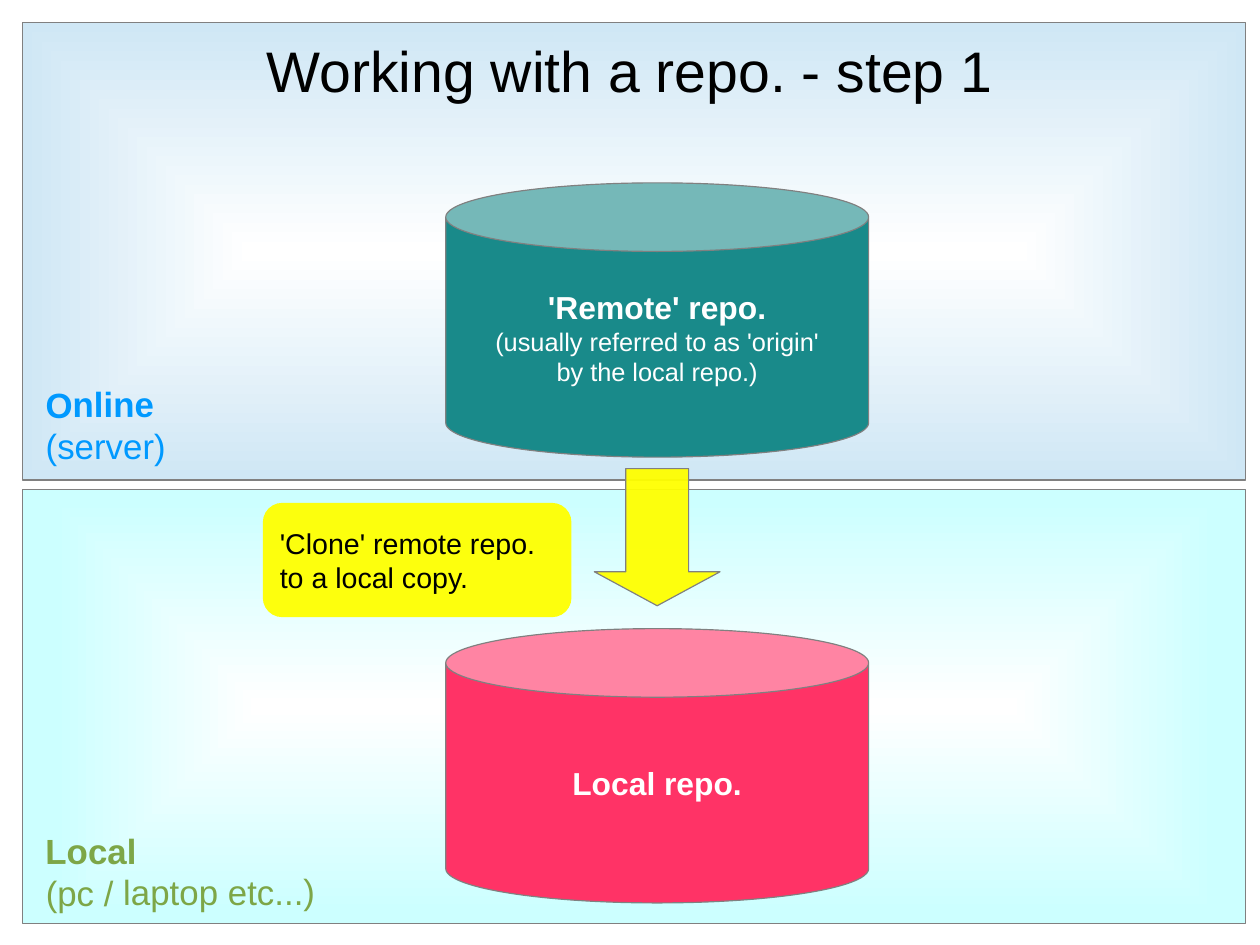
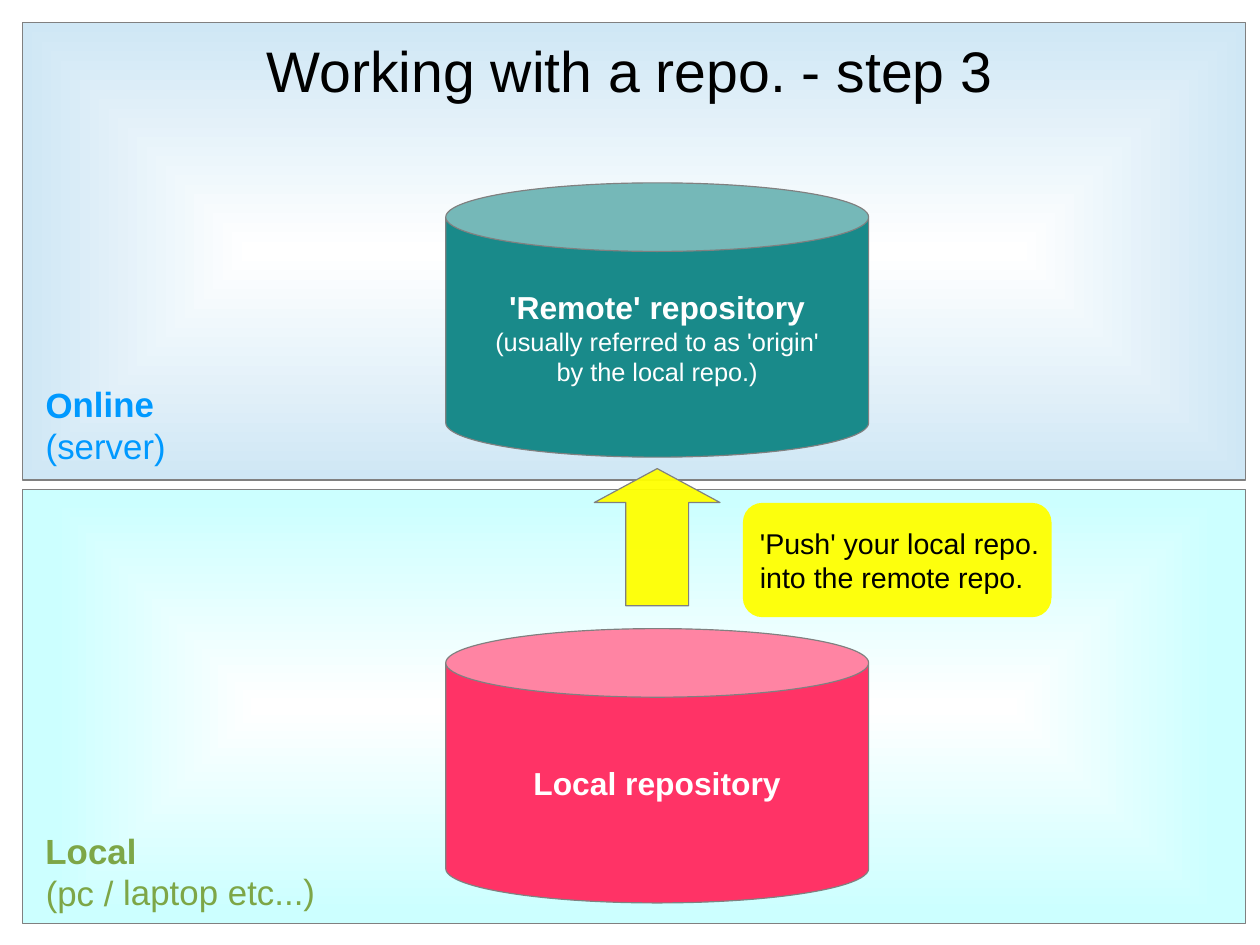
from lxml import etree
from pptx import Presentation
from pptx import util as u
from pptx.dml import color
from pptx.enum import shapes, text
from pptx.oxml import ns

FONT = "Arial"
COLORS = {
    "white": "FFFFFF",
    "black": "000000",
    "outline": "808080",
    "online_edge": "CFE7F5",
    "online_label": "0099FF",
    "local_edge": "CCFFFF",
    "local_label": "7DA647",
    "remote_repo": "198A8A",
    "local_repo": "FF3366",
    "action": "FFFF00",
}
SHAPE = shapes.MSO_SHAPE
ALIGN = text.PP_ALIGN
ANCHOR = text.MSO_ANCHOR

STEPS = [
    {
        "title": "Working with a repo. - step 1",
        "remote": "'Remote' repo.",
        "local": "Local repo.",
        "arrow": SHAPE.DOWN_ARROW,
        "callout_left": 2.3,
        "callout": ["'Clone' remote repo.", "to a local copy."],
    },
    {
        "title": "Working with a repo. - step 3",
        "remote": "'Remote' repository",
        "local": "Local repository",
        "arrow": SHAPE.UP_ARROW,
        "callout_left": 6.5,
        "callout": ["'Push' your local repo.", "into the remote repo."],
    },
]


def rgb(name):
    return color.RGBColor.from_string(COLORS[name])


def inches(*lengths):
    return [u.Inches(length) for length in lengths]


def write_lines(shape, lines, color_name, align=ALIGN.LEFT, anchor=ANCHOR.MIDDLE):
    frame = shape.text_frame
    frame.word_wrap = False
    frame.vertical_anchor = anchor
    for index, (words, size, bold) in enumerate(lines):
        paragraph = frame.paragraphs[0] if index == 0 else frame.add_paragraph()
        paragraph.alignment = align
        run = paragraph.add_run()
        run.text = words
        run.font.name = FONT
        run.font.size = u.Pt(size)
        run.font.bold = bold
        run.font.color.rgb = rgb(color_name)


def add_plain_shape(slide, kind, box, fill_name=None, outlined=True):
    shape = slide.shapes.add_shape(kind, *inches(*box))
    shape.shadow.inherit = False
    if fill_name:
        shape.fill.solid()
        shape.fill.fore_color.rgb = rgb(fill_name)
    if outlined:
        shape.line.color.rgb = rgb("outline")
        shape.line.width = u.Pt(0)
    else:
        shape.line.fill.background()
    return shape


def set_opacity(shape, percent):
    fill_color = shape.fill._xPr.find(ns.qn("a:solidFill"))[0]
    etree.SubElement(fill_color, ns.qn("a:alpha")).set("val", str(percent * 1000))


def add_zone(slide, top, height, edge_name, edge_position):
    zone = add_plain_shape(slide, SHAPE.RECTANGLE, (0.2, top, 10.7, height))
    zone.fill.gradient()
    stops = zone.fill.gradient_stops
    for stop, name, position in zip(stops, ("white", edge_name), (0, edge_position)):
        stop.color.rgb = rgb(name)
        stop.position = position
    gradient = zone.fill._xPr.find(ns.qn("a:gradFill"))
    gradient.remove(gradient.find(ns.qn("a:lin")))
    path = etree.SubElement(gradient, ns.qn("a:path"), {"path": "rect"})
    center = {side: "50000" for side in "ltrb"}
    etree.SubElement(path, ns.qn("a:fillToRect"), center)


def add_zone_label(slide, top, width, rotation, name, detail, color_name):
    label = slide.shapes.add_textbox(*inches(0.3, top, width, 0.78))
    label.rotation = rotation
    lines = [(name, 22, True), (detail, 22, False)]
    write_lines(label, lines, color_name, anchor=ANCHOR.TOP)
    label.text_frame.auto_size = text.MSO_AUTO_SIZE.SHAPE_TO_FIT_TEXT


def add_title(slide, words):
    title = slide.shapes.add_textbox(*inches(0.55, -0.08, 9.92, 1.38))
    write_lines(title, [(words, 36, False)], "black", ALIGN.CENTER)
    frame = title.text_frame
    frame.word_wrap = True
    frame.margin_left = frame.margin_right = 0
    frame.margin_top = frame.margin_bottom = 0


def add_repo(slide, top, fill_name, name, details=()):
    repo = add_plain_shape(slide, SHAPE.CAN, (3.9, top, 3.7, 2.4), fill_name)
    repo.adjustments[0] = 0.25
    lines = [(name, 20, True)] + [(detail, 16, False) for detail in details]
    write_lines(repo, lines, "white", ALIGN.CENTER)


def add_arrow(slide, kind):
    arrow = add_plain_shape(slide, kind, (5.2, 4.1, 1.1, 1.2), "action")
    arrow.adjustments[0] = 0.5
    arrow.adjustments[1] = 0.27
    set_opacity(arrow, 95)


def add_callout(slide, left, lines):
    box = (left, 4.4, 2.7, 1)
    callout = add_plain_shape(slide, SHAPE.ROUNDED_RECTANGLE, box, "action", outlined=False)
    callout.adjustments[0] = 0.17
    set_opacity(callout, 95)
    write_lines(callout, [(line, 18, False) for line in lines], "black")


def add_background(slide):
    add_zone(slide, 4.28, 3.8, "local_edge", 0.95)
    add_zone(slide, 0.2, 4, "online_edge", 1)
    add_zone_label(slide, 3.3, 1.35, 359.7, "Online", "(server)", "online_label")
    add_zone_label(slide, 7.2, 2.56, 359.6, "Local", "(pc / laptop etc...)", "local_label")


def add_step(presentation, step):
    slide = presentation.slides.add_slide(presentation.slide_layouts[6])
    add_background(slide)
    add_title(slide, step["title"])
    add_repo(slide, 5.5, "local_repo", step["local"])
    origin = ["(usually referred to as 'origin'", "by the local repo.)"]
    add_repo(slide, 1.6, "remote_repo", step["remote"], origin)
    add_arrow(slide, step["arrow"])
    add_callout(slide, step["callout_left"], step["callout"])


def main():
    presentation = Presentation()
    presentation.slide_width = u.Cm(28)
    presentation.slide_height = u.Cm(21)
    for step in STEPS:
        add_step(presentation, step)
    presentation.save("out.pptx")


if __name__ == "__main__":
    main()
